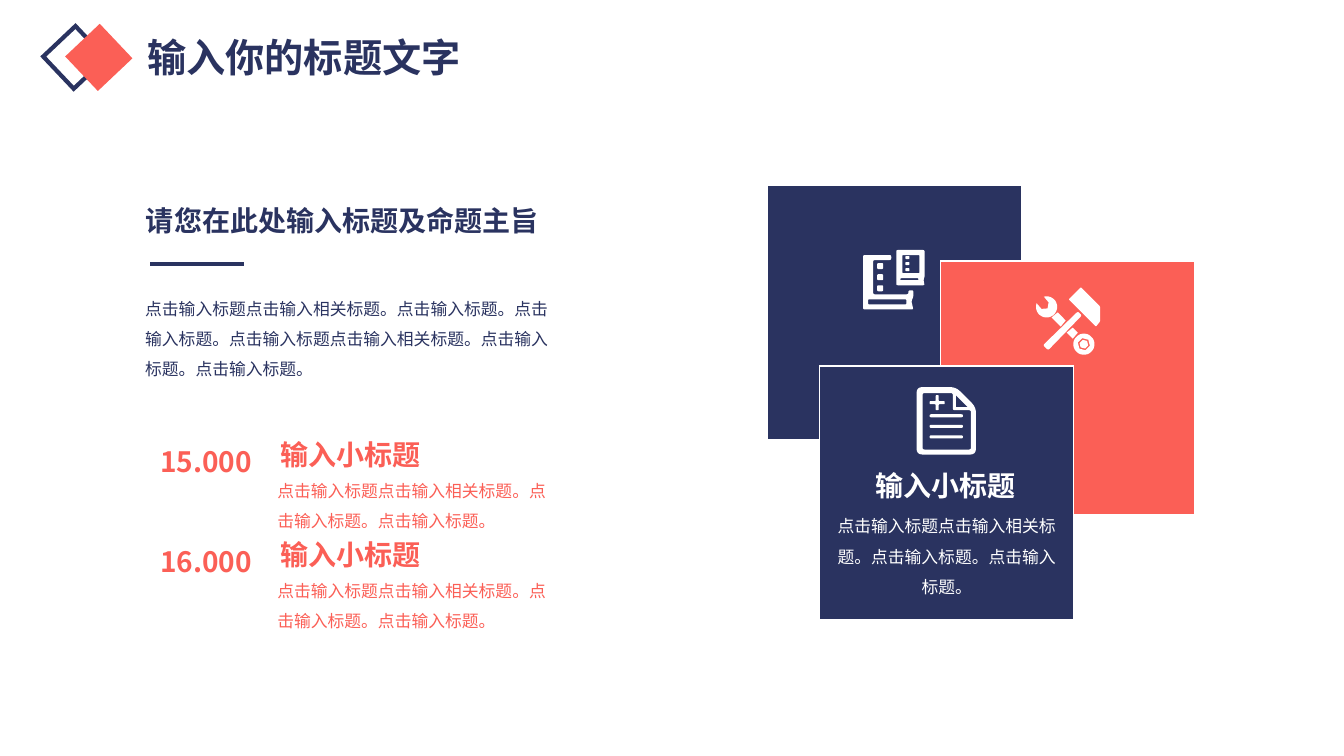
from dataclasses import dataclass
from math import cos, radians, sin

from lxml.etree import SubElement
from pptx import Presentation
from pptx.dml.color import RGBColor
from pptx.enum.shapes import MSO_SHAPE
from pptx.enum.text import MSO_AUTO_SIZE, PP_ALIGN
from pptx.oxml.ns import qn
from pptx.shapes.autoshape import Shape
from pptx.slide import Slide
from pptx.util import Inches, Pt

Point = tuple[float, float]
Contour = list[Point]

CELL = Inches(0.1)
COLUMNS, ROWS = 133.3, 75
FONT = "Noto Sans CJK SC"
COLOURS = {"navy": "2A3360", "coral": "FB5F56", "white": "FFFFFF"}
FORMATS = {
    "title": {"size": Pt(28), "bold": True, "name": FONT},
    "heading": {"size": Pt(20), "bold": True, "name": FONT},
    "body": {"size": Pt(12), "bold": False, "name": FONT},
}


@dataclass
class Block:
    left: float
    top: float
    width: float
    height: float
    line: str
    weight: float
    fill: str = ""
    turn: float = 0


@dataclass
class Label:
    text: str
    left: float
    top: float
    width: float
    height: float
    style: str
    colour: str
    centred: bool = False
    inset: bool = True
    wrap: bool = True


SENTENCE = "点击输入标题点击输入相关标题。点击输入标题。点击输入标题。"
SUBTITLE = "输入小标题"
CARD = 25.2
BLOCKS = [
    Block(5.2, 3.5, 4.4, 4.4, "navy", 3, turn=46.6),
    Block(8.1, 4, 3.4, 3.4, "coral", 9.5, "coral", 46.6),
    Block(14.9, 26.1, 9.2, 0.2, "navy", 1, "navy"),
    Block(76.1, 18.4, CARD, CARD, "white", 1, "navy"),
    Block(93.3, 25.9, CARD, CARD, "white", 1, "coral"),
    Block(81.3, 36.3, CARD, CARD, "white", 1, "navy"),
]
LABELS = [
    Label("输入你的标题文字", 7.4, 2.8, 45.5, 5.7, "title", "navy", centred=True),
    Label("请您在此处输入标题及命题主旨", 13.5, 19.7, 44, 4.4, "heading", "navy"),
    Label(SENTENCE * 2, 14.4, 28.6, 41.3, 8.8, "body", "navy", inset=False),
    Label(SENTENCE, 83, 50.2, 21.8, 8.8, "body", "white", True, False),
    Label(SUBTITLE, 86.6, 46.5, 14.4, 3.4, "heading", "white", True, False, False),
]
FIGURES = ["15.000", "16.000"]
FIGURE_TOP, FIGURE_STEP = 43.6, 9.9


def arc(x: float, y: float, radius: float, start: float = 0, sweep: float = 360, steps: int = 36) -> Contour:
    angles = [radians(start + sweep * step / steps) for step in range(steps + 1)]
    return [(x + radius * cos(angle), y + radius * sin(angle)) for angle in angles]


def rounded(corners: Contour, radius: float) -> Contour:
    outline: Contour = []
    for index, (x, y) in enumerate(corners):
        ends = []
        for far_x, far_y in (corners[index - 1], corners[(index + 1) % len(corners)]):
            length = ((far_x - x) ** 2 + (far_y - y) ** 2) ** 0.5
            share = min(radius / length, 0.5)
            ends.append((x + (far_x - x) * share, y + (far_y - y) * share))
        (ax, ay), (bx, by) = ends
        for step in range(5):
            t = step / 4
            a, mid, b = (1 - t) ** 2, 2 * t * (1 - t), t**2
            outline.append((a * ax + mid * x + b * bx, a * ay + mid * y + b * by))
    return outline


def plate(left: float, top: float, width: float, height: float, radius: float) -> Contour:
    right, bottom = left + width, top + height
    return rounded([(left, top), (right, top), (right, bottom), (left, bottom)], radius)


BOOKS = [
    rounded([(85.6, 25.3), (88.4, 25.3), (88.4, 25.8), (86.6, 25.8), (86.6, 29.2), (90.1, 29.2),
             (90.1, 28.8), (90.6, 28.8), (90.6, 29.4), (90.4, 29.9), (90.6, 30.7), (85.6, 30.7)], 0.2),
    plate(86.1, 29.7, 3.8, 0.5, 0.1),
    *[plate(87, 26.1 + 1.1 * row, 0.6, 0.6, 0.15) for row in range(3)],
    rounded([(88.9, 24.8), (91.7, 24.8), (91.7, 27.5), (91.6, 27.75), (91.7, 28.3), (88.9, 28.3)], 0.15),
    plate(89.5, 25.3, 1.7, 1.8, 0.1),
    plate(89.3, 27.6, 1.8, 0.2, 0.1),
    *[plate(89.8, 25.4 + 0.6 * row, 0.4, 0.3, 0.1) for row in range(3)],
]
TOOLS = [
    rounded([(107.2, 28.5), (109.1, 30.4), (109.1, 31.9), (108.7, 32.4), (106, 29.7)], 0.1),
    rounded([(106.9, 30.9), (107.3, 31.3), (103.95, 34.75), (103.45, 34.25)], 0.2),
    arc(103.8, 30.45, 1.05, -105, 305) + [(103.3, 30.65), (103.9, 30.6), (104, 30)],
    [(104.9, 31), (105.7, 31.8), (105.2, 32.4), (104.3, 31.5)],
    [(106.4, 32.5), (106.9, 33), (106.4, 33.6), (105.8, 33)],
    arc(107.5, 34.15, 1.05),
    arc(107.5, 34.15, 0.62, 15, steps=6),
    arc(107.5, 34.15, 0.45, 15, steps=6),
]
DOCUMENT = [
    rounded([(90.9, 38.4), (94.8, 38.4), (96.8, 40.4), (96.8, 45.1), (90.9, 45.1)], 0.6),
    rounded([(91.5, 39), (94.5, 39), (94.5, 40.7), (96.3, 40.7), (96.3, 44.6), (91.5, 44.6)], 0.2),
    rounded([(94.8, 39.2), (96, 40.4), (94.8, 40.4)], 0.1),
    rounded([(92.8, 39.2), (93.1, 39.2), (93.1, 39.8), (93.7, 39.8), (93.7, 40.1), (93.1, 40.1),
             (93.1, 40.7), (92.8, 40.7), (92.8, 40.1), (92.2, 40.1), (92.2, 39.8), (92.8, 39.8)], 0.1),
    *[plate(92.2, 41.1 + 1.05 * row, 3.3, 0.3, 0.15) for row in range(3)],
]


def cells(*lengths: float) -> list[int]:
    return [round(length * CELL) for length in lengths]


def colour(name: str) -> RGBColor:
    return RGBColor.from_string(COLOURS[name])


def paint(shape: Shape, fill: str) -> None:
    shape.shadow.inherit = False
    if fill:
        shape.fill.solid()
        shape.fill.fore_color.rgb = colour(fill)
    else:
        shape.fill.background()


def draw_block(page: Slide, block: Block) -> None:
    frame = cells(block.left, block.top, block.width, block.height)
    shape = page.shapes.add_shape(MSO_SHAPE.RECTANGLE, *frame)
    paint(shape, block.fill)
    shape.rotation = block.turn
    shape.line.color.rgb = colour(block.line)
    shape.line.width = Pt(block.weight)
    SubElement(shape.line._get_or_add_ln(), qn("a:miter"), lim="800000")


def draw_label(page: Slide, label: Label) -> None:
    box = page.shapes.add_textbox(*cells(label.left, label.top, label.width, label.height))
    frame = box.text_frame
    frame.word_wrap = label.wrap
    frame.auto_size = MSO_AUTO_SIZE.SHAPE_TO_FIT_TEXT
    if not label.inset:
        for side in ("left", "top", "right", "bottom"):
            setattr(frame, f"margin_{side}", 0)
    para = frame.paragraphs[0]
    para.alignment = PP_ALIGN.CENTER if label.centred else PP_ALIGN.LEFT
    if label.style == "body":
        para.line_spacing = 1.5
    span = para.add_run()
    span.text = label.text
    for key, value in FORMATS[label.style].items():
        setattr(span.font, key, value)
    span.font.color.rgb = colour(label.colour)
    SubElement(span._r.get_or_add_rPr(), qn("a:ea"), typeface=FONT)


def draw_icon(page: Slide, contours: list[Contour]) -> None:
    scaled = [[(x * 100, y * 100) for x, y in contour] for contour in contours]
    builder = page.shapes.build_freeform(*scaled[0][0], scale=CELL / 100)
    for index, contour in enumerate(scaled):
        if index:
            builder.move_to(*contour[0])
        builder.add_line_segments(contour[1:], close=True)
    shape = builder.convert_to_shape()
    paint(shape, "white")
    shape.line.fill.background()


def main() -> None:
    deck = Presentation()
    deck.slide_width, deck.slide_height = cells(COLUMNS, ROWS)
    page = deck.slides.add_slide(deck.slide_layouts[6])
    for block in BLOCKS:
        draw_block(page, block)
    for label in LABELS:
        draw_label(page, label)
    for index, figure in enumerate(FIGURES):
        top = FIGURE_TOP + index * FIGURE_STEP
        draw_label(page, Label(figure, 14.9, top, 12, 4.4, "heading", "coral"))
        draw_label(page, Label(SENTENCE, 27.5, top + 3.1, 28.2, 5.7, "body", "coral", inset=False))
        draw_label(page, Label(SUBTITLE, 26.8, top - 0.7, 20.3, 4.4, "heading", "coral"))
    for icon in (TOOLS, BOOKS, DOCUMENT):
        draw_icon(page, icon)
    deck.save("out.pptx")


if __name__ == "__main__":
    main()
